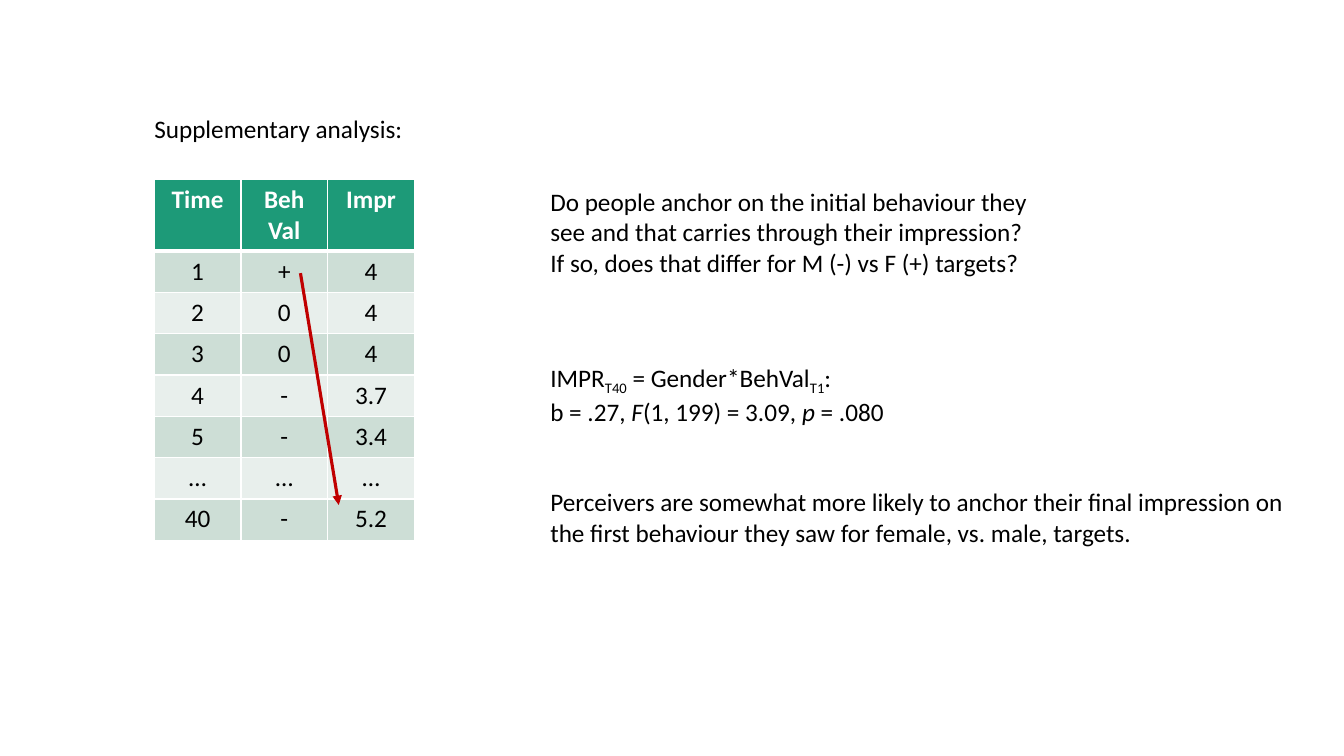
"""Build the supplementary analysis slide with its table, arrow and findings."""
from dataclasses import dataclass

from lxml import etree
from pptx import Presentation
from pptx.dml.color import RGBColor
from pptx.enum.shapes import MSO_CONNECTOR
from pptx.enum.text import MSO_ANCHOR, MSO_AUTO_SIZE, PP_ALIGN
from pptx.oxml.ns import qn
from pptx.util import Inches, Pt

STRAIGHT = MSO_CONNECTOR.STRAIGHT
TOP = MSO_ANCHOR.TOP
NO_AUTOFIT = MSO_AUTO_SIZE.NONE
LEFT, CENTER = PP_ALIGN.LEFT, PP_ALIGN.CENTER
TITLE_ONLY = 5
SUBSCRIPT = {"baseline": "-25000"}
ITALIC = {"italic": True}


@dataclass(frozen=True)
class Theme:
    font: str = "Calibri"
    size: float = 18
    text: str = "000000"
    white: str = "FFFFFF"
    header: str = "1D9A78"
    bands: tuple = ("CDDED6", "E8EFEC")
    arrow: str = "C00000"
    arrow_width: float = 2.25
    border: float = 1
    header_border: float = 3


class SlideBuilder:
    def __init__(self, slide, theme):
        self.slide = slide
        self.theme = theme

    def fill_paragraph(self, paragraph, runs, color, align=LEFT, bold=False, space_before=0):
        layout = {"alignment": align, "space_before": Pt(space_before)}
        for name, value in layout.items():
            setattr(paragraph, name, value)
        for text, changes in runs:
            run = paragraph.add_run()
            run.text = text
            style = {"name": self.theme.font, "size": Pt(self.theme.size),
                     "bold": bold, "italic": False} | changes
            baseline = style.pop("baseline", None)
            for name, value in style.items():
                setattr(run.font, name, value)
            run.font.color.rgb = RGBColor.from_string(color)
            if baseline:
                run._r.get_or_add_rPr().set("baseline", baseline)

    def fill_frame(self, frame, paragraphs, wrap):
        settings = {"word_wrap": wrap, "auto_size": NO_AUTOFIT, "vertical_anchor": TOP}
        for name, value in settings.items():
            setattr(frame, name, value)
        for index, (runs, space_before) in enumerate(paragraphs):
            paragraph = frame.add_paragraph() if index else frame.paragraphs[0]
            self.fill_paragraph(paragraph, runs, self.theme.text, space_before=space_before)

    def title(self, text, left, top, width, height):
        shape = self.slide.shapes.title
        place = {"left": left, "top": top, "width": width, "height": height}
        for name, value in place.items():
            setattr(shape, name, Inches(value))
        self.fill_frame(shape.text_frame, [([(text, {})], 0)], False)

    def text(self, paragraphs, left, top, width, height, wrap=True):
        box = self.slide.shapes.add_textbox(*map(Inches, (left, top, width, height)))
        self.fill_frame(box.text_frame, paragraphs, wrap)

    def set_border(self, cell, side, width):
        properties = cell._tc.get_or_add_tcPr()
        line = etree.SubElement(properties, qn(f"a:ln{side}"), w=str(int(Pt(width))))
        fill = etree.SubElement(line, qn("a:solidFill"))
        etree.SubElement(fill, qn("a:srgbClr"), val=self.theme.white)

    def table(self, rows, left, top, column_width, header_height, row_height):
        theme = self.theme
        columns = len(rows[0])
        heights = [header_height] + [row_height] * (len(rows) - 1)
        table = self.slide.shapes.add_table(
            len(rows), columns, Inches(left), Inches(top),
            Inches(column_width * columns), Inches(sum(heights))).table
        for column in table.columns:
            column.width = Inches(column_width)
        for row_index, values in enumerate(rows):
            table.rows[row_index].height = Inches(heights[row_index])
            is_header = row_index == 0
            fill = theme.header if is_header else theme.bands[(row_index - 1) % 2]
            color = theme.white if is_header else theme.text
            for column_index, value in enumerate(values):
                cell = table.cell(row_index, column_index)
                for side in "LRTB":
                    heavy = (row_index, side) in ((0, "B"), (1, "T"))
                    self.set_border(cell, side, theme.header_border if heavy else theme.border)
                cell.fill.solid()
                cell.fill.fore_color.rgb = RGBColor.from_string(fill)
                frame = cell.text_frame
                for index, line in enumerate(value.split("\n")):
                    paragraph = frame.add_paragraph() if index else frame.paragraphs[0]
                    self.fill_paragraph(paragraph, [(line, {})], color, CENTER, is_header)

    def arrow(self, start, end):
        connector = self.slide.shapes.add_connector(STRAIGHT, *map(Inches, (*start, *end)))
        connector.line.color.rgb = RGBColor.from_string(self.theme.arrow)
        connector.line.width = Pt(self.theme.arrow_width)
        properties = connector._element.spPr
        etree.SubElement(properties.find(qn("a:ln")), qn("a:tailEnd"), type="triangle")
        etree.SubElement(properties, qn("a:effectLst"))


def main():
    presentation = Presentation()
    presentation.slide_width = Inches(13.33)
    presentation.slide_height = Inches(7.5)
    slide = presentation.slides.add_slide(presentation.slide_layouts[TITLE_ONLY])
    builder = SlideBuilder(slide, Theme())

    builder.title("Supplementary analysis:", 1.43, 1.07, 2.69, 0.4)
    ratings = [
        ("Time", "Beh\nVal", "Impr"),
        ("1", "+", "4"),
        ("2", "0", "4"),
        ("3", "0", "4"),
        ("4", "-", "3.7"),
        ("5", "-", "3.4"),
        ("…", "…", "…"),
        ("40", "-", "5.2"),
    ]
    builder.table(ratings, 1.53, 1.78, column_width=0.86, header_height=0.7, row_height=0.41)
    builder.arrow((2.98, 2.71), (3.36, 5.01))

    questions = [
        ([("Do people anchor on the initial behaviour they see and that carries "
           "through their impression?", {})], 0),
        ([("If so, does that differ for M (-) vs F (+) targets?", {})], 0),
    ]
    builder.text(questions, 5.36, 1.8, 5.18, 1.01)

    findings = [
        ([("IMPR", {}), ("T40", SUBSCRIPT), (" = Gender*BehVal", {}),
          ("T1", SUBSCRIPT), (":", {})], 0),
        ([("b = .27, ", {}), ("F", ITALIC), ("(1, 199) = 3.09, ", {}),
          ("p", ITALIC), (" = .080", {})], 0),
        ([("Perceivers are somewhat more likely to anchor their final impression on", {})], 43),
        ([("the first behaviour they saw for female, vs. male, targets.", {})], 0),
    ]
    builder.text(findings, 5.36, 3.54, 7.61, 1.92, wrap=False)

    presentation.save("out.pptx")


if __name__ == "__main__":
    main()
